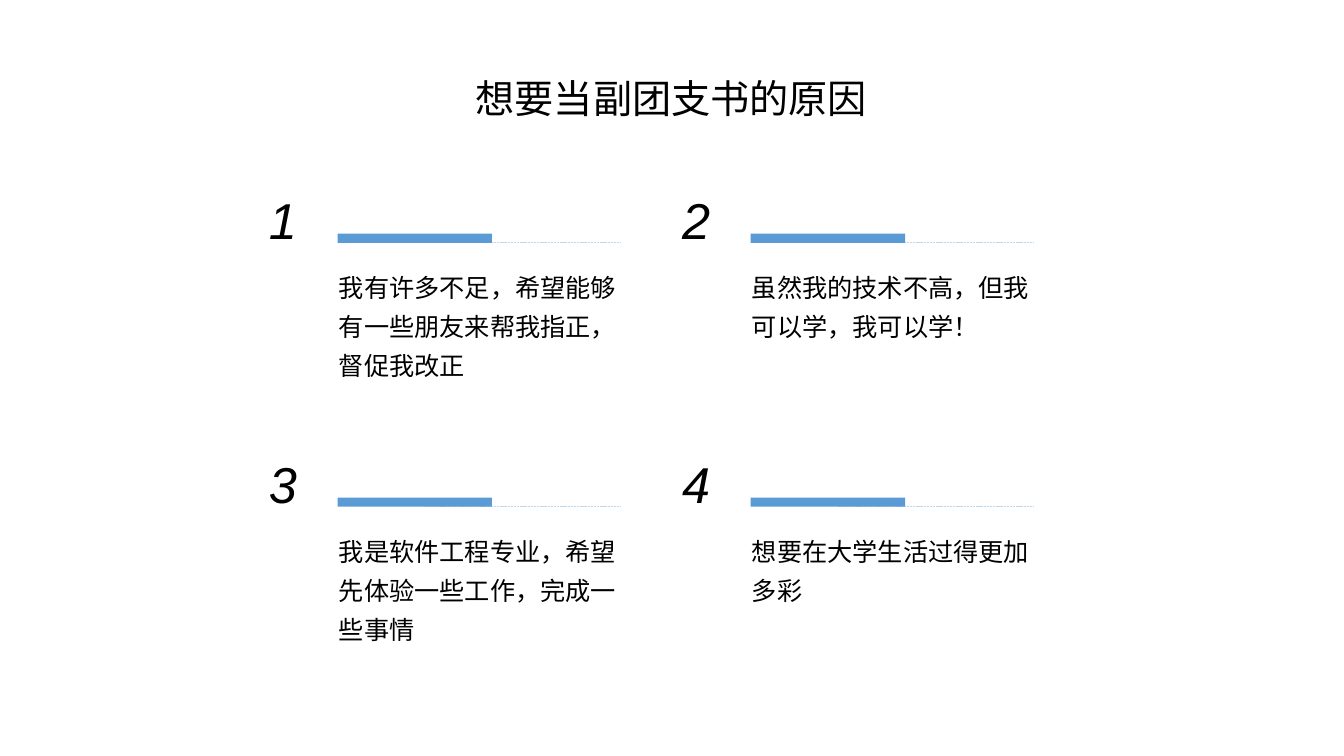
from dataclasses import dataclass

from lxml import etree
from pptx import Presentation
from pptx.dml.color import RGBColor
from pptx.enum.dml import MSO_LINE
from pptx.enum.shapes import MSO_CONNECTOR, MSO_SHAPE
from pptx.enum.text import MSO_ANCHOR, PP_ALIGN
from pptx.oxml.ns import qn
from pptx.util import Cm, Pt

RECTANGLE = MSO_SHAPE.RECTANGLE
STRAIGHT = MSO_CONNECTOR.STRAIGHT
DASH = MSO_LINE.SQUARE_DOT
TOP, MIDDLE = MSO_ANCHOR.TOP, MSO_ANCHOR.MIDDLE
LEFT, CENTER = PP_ALIGN.LEFT, PP_ALIGN.CENTER


@dataclass(frozen=True)
class Theme:
    font: str = "Arial"
    text: RGBColor = RGBColor(0x00, 0x00, 0x00)
    bar: RGBColor = RGBColor(0x5B, 0x9B, 0xD5)
    rule: RGBColor = RGBColor(0xBD, 0xD7, 0xEE)
    title_size: int = 28
    number_size: int = 36
    body_size: int = 18
    rule_width: float = 0.5


THEME = Theme()
TITLE = "想要当副团支书的原因"
REASONS = [
    "我有许多不足，希望能够有一些朋友来帮我指正，督促我改正",
    "虽然我的技术不高，但我可以学，我可以学！",
    "我是软件工程专业，希望先体验一些工作，完成一些事情",
    "想要在大学生活过得更加多彩",
]
COLUMNS = 2
GRID_LEFT, GRID_TOP = 6.53, 4.19
COLUMN_PITCH, ROW_PITCH = 10.41, 6.65


def add_text(slide, box, text, size, italic=False, align=LEFT, anchor=TOP, spacing=1.3):
    """Place one paragraph in box, given as left, top, width, height in cm."""
    frame = slide.shapes.add_textbox(*map(Cm, box)).text_frame
    frame.word_wrap = True
    frame.vertical_anchor = anchor
    paragraph = frame.paragraphs[0]
    paragraph.alignment = align
    paragraph.line_spacing = spacing
    run = paragraph.add_run()
    run.text = text
    font_format = {"name": THEME.font, "size": Pt(size), "italic": italic}
    for name, value in font_format.items():
        setattr(run.font, name, value)
    run.font.color.rgb = THEME.text


def add_divider(slide, left, top):
    """Draw a solid bar continued by a thin dashed rule."""
    rule_top = top + 0.21
    ends = (left + 2.21, rule_top, left + 7.11, rule_top)
    rule = slide.shapes.add_connector(STRAIGHT, *map(Cm, ends))
    line_format = {"width": Pt(THEME.rule_width), "dash_style": DASH}
    for name, value in line_format.items():
        setattr(rule.line, name, value)
    rule.line.color.rgb = THEME.rule
    etree.SubElement(rule._element.spPr, qn("a:effectLst"))

    bar = slide.shapes.add_shape(RECTANGLE, *map(Cm, (left, top, 3.89, 0.23)))
    bar.shadow.inherit = False
    bar.fill.solid()
    bar.fill.fore_color.rgb = THEME.bar
    bar.line.fill.background()


def add_reason(slide, left, top, number, text):
    add_divider(slide, left + 1.98, top + 1.7)
    add_text(slide, (left + 1.76, top + 2.31, 8.1, 3.99), text, THEME.body_size)
    add_text(slide, (left, top, 1.22, 2.26), str(number), THEME.number_size, italic=True)


def add_reasons_slide(presentation):
    slide = presentation.slides.add_slide(presentation.slide_layouts[6])
    for index, text in enumerate(REASONS):
        row, column = divmod(index, COLUMNS)
        left = GRID_LEFT + column * COLUMN_PITCH
        top = GRID_TOP + row * ROW_PITCH
        add_reason(slide, left, top, index + 1, text)
    add_text(slide, (6.15, 1.12, 21.54, 2.69), TITLE, THEME.title_size,
             align=CENTER, anchor=MIDDLE, spacing=1.0)


def main():
    presentation = Presentation()
    presentation.slide_width = Cm(33.87)
    presentation.slide_height = Cm(19.05)
    add_reasons_slide(presentation)
    presentation.save("out.pptx")


if __name__ == "__main__":
    main()
